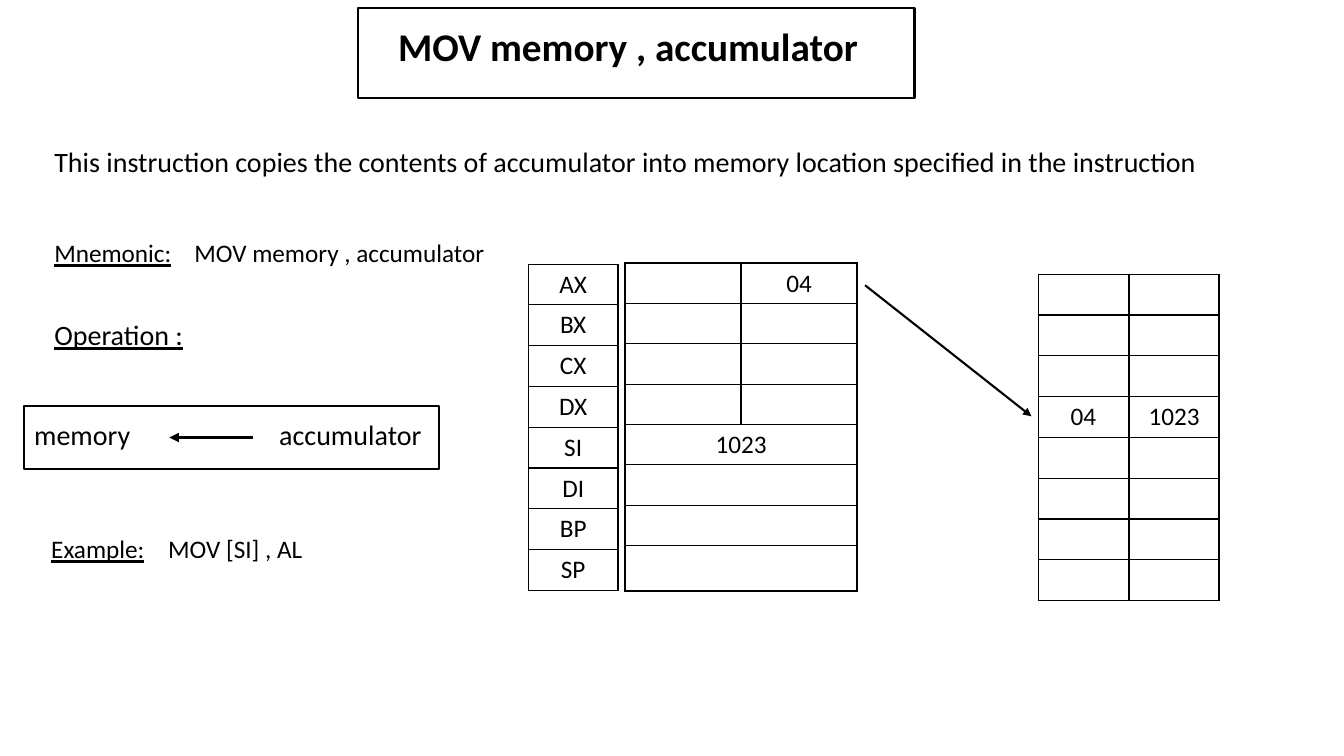
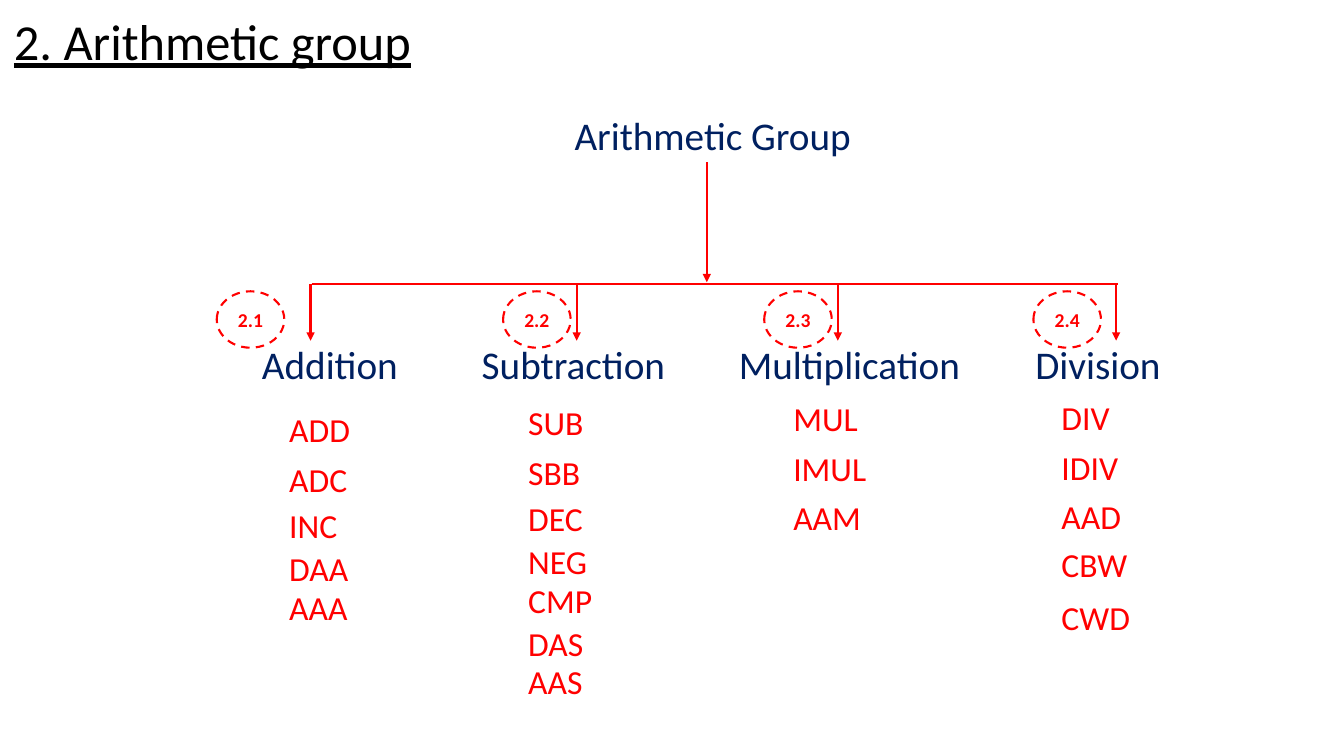
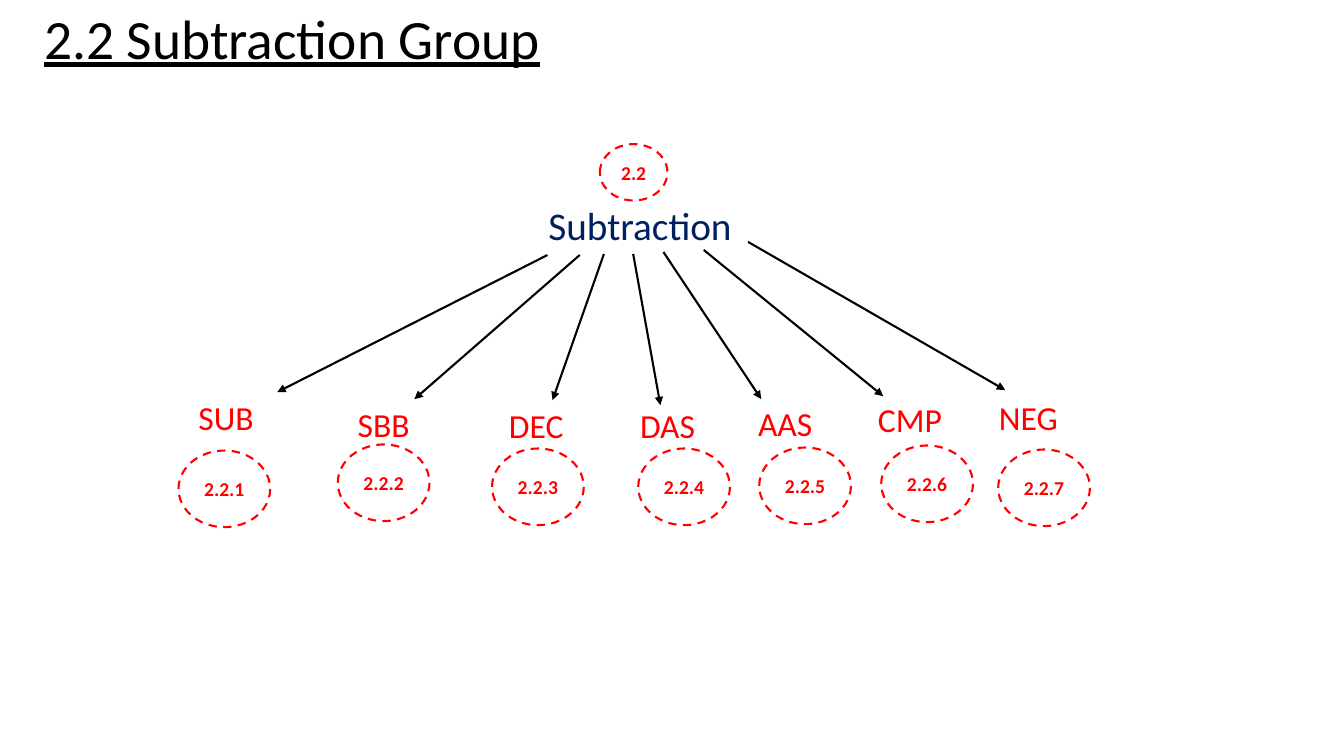
"""Build three slides on the MOV, arithmetic and subtraction instructions."""
from lxml.etree import SubElement
from pptx import Presentation
from pptx.dml.color import RGBColor
from pptx.enum.dml import MSO_LINE
from pptx.enum.shapes import MSO_CONNECTOR, MSO_SHAPE
from pptx.enum.text import MSO_ANCHOR, PP_ALIGN
from pptx.oxml import parse_xml
from pptx.oxml.ns import nsdecls, qn
from pptx.util import Inches, Pt

BLACK = RGBColor(0x00, 0x00, 0x00)
NAVY = RGBColor(0x00, 0x20, 0x60)
RED = RGBColor(0xFF, 0x00, 0x00)

STYLES = {
    "frame title": {"size": Pt(28), "color": BLACK, "bold": True},
    "title": {"size": Pt(36), "color": BLACK, "underline": True},
    "large title": {"size": Pt(39.6), "color": BLACK, "underline": True},
    "body": {"size": Pt(20), "color": BLACK},
    "heading": {"size": Pt(20), "color": BLACK, "underline": True},
    "label": {"size": Pt(18), "color": BLACK, "underline": True},
    "detail": {"size": Pt(18), "color": BLACK},
    "group": {"size": Pt(28), "color": NAVY},
    "instruction": {"size": Pt(24), "color": RED},
    "badge": {"size": Pt(14), "color": RED, "bold": True},
}

MOV_TITLE = "MOV memory , accumulator"
MOV_TEXTS = [
    ("This instruction copies the contents of accumulator into memory location "
     "specified in the instruction", "body", (0.44, 1.42, 12.53, 0.58)),
    ("Operation :", "heading", (0.44, 3.14, 1.85, 0.42)),
    ("memory", "body", (0.24, 4.13, 1.85, 0.42)),
    ("accumulator", "body", (2.67, 4.13, 1.85, 0.42)),
]
MOV_LABELS = [
    ("Mnemonic:", "MOV memory , accumulator", (0.44, 2.34, 4.93, 0.6), 1.39),
    ("Example:", "MOV [SI] , AL", (0.41, 5.28, 2.7, 0.43), 1.16),
]
MOV_FRAMES = [(0.24, 4.03, 4.11, 0.62), (3.55, 0.08, 5.52, 0.89)]
REGISTERS = ["AX", "BX", "CX", "DX", "SI", "DI", "BP", "SP"]
REGISTER_VALUES = [("", "04"), ("", ""), ("", ""), ("", ""),
                   ("1023", ""), ("", ""), ("", ""), ("", "")]
FIRST_WIDE_REGISTER = 4
MEMORY_ROW = 3
MEMORY_COLUMNS = [("04", 10.3), ("1023", 11.2)]

TIGHT = [0, 0.49, 0.95, 1.38, 1.76, 2.19, 2.57]
LOOSE = [0, 0.49, 0.98, 1.46, 1.98]
BRANCHES = [
    {"name": "Addition", "box": (2.5, 1.59), "arrow": 3.08, "badge": ("2.1", 2.15),
     "list": (2.77, 4.01), "steps": TIGHT, "items": ["ADD", "ADC", "INC", "DAA", "AAA"]},
    {"name": "Subtraction", "box": (4.68, 2.03), "arrow": 5.72, "badge": ("2.2", 4.99),
     "list": (5.14, 3.94), "steps": TIGHT,
     "items": ["SUB", "SBB", "DEC", "NEG", "CMP", "DAS", "AAS"]},
    {"name": "Multiplication", "box": (7.23, 2.42), "arrow": 8.31, "badge": ("2.3", 7.58),
     "list": (7.77, 3.9), "steps": LOOSE, "items": ["MUL", "IMUL", "AAM"]},
    {"name": "Division", "box": (10.17, 1.59), "arrow": 11.07, "badge": ("2.4", 10.25),
     "list": (10.43, 3.89), "steps": LOOSE, "items": ["DIV", "IDIV", "AAD", "CBW", "CWD"]},
]
BRANCH_Y = 2.82

SUBTRACTIONS = [
    ("SUB", (1.87, 3.89), (1.77, 4.47), (5.43, 2.53), (2.75, 3.89)),
    ("SBB", (3.45, 3.96), (3.35, 4.41), (5.75, 2.53), (4.11, 3.96)),
    ("DEC", (4.95, 3.97), (4.88, 4.45), (5.99, 2.52), (5.48, 3.97)),
    ("DAS", (6.25, 3.97), (6.33, 4.45), (6.28, 2.52), (6.55, 4.02)),
    ("AAS", (7.42, 3.95), (7.53, 4.44), (6.58, 2.5), (7.55, 3.96)),
    ("CMP", (8.61, 3.91), (8.74, 4.42), (6.98, 2.48), (8.76, 3.93)),
    ("NEG", (9.81, 3.89), (9.9, 4.46), (7.42, 2.4), (9.97, 3.87)),
]
INSTRUCTION_SIZE = (1.07, 0.5)
SMALL_BADGE = (0.67, 0.56)
LARGE_BADGE = (0.91, 0.76)


def inches(values):
    return [Inches(value) for value in values]


def add_run(paragraph, text, style):
    run = paragraph.add_run()
    run.text = text
    run.font.name = "Calibri"
    for key, value in STYLES[style].items():
        if key == "color":
            run.font.color.rgb = value
        else:
            setattr(run.font, key, value)


def add_text(slide, text, style, box, anchor=MSO_ANCHOR.TOP):
    frame = slide.shapes.add_textbox(*inches(box)).text_frame
    frame.word_wrap = True
    frame.vertical_anchor = anchor
    paragraph = frame.paragraphs[0]
    paragraph.line_spacing = 1.0 if style == "instruction" else 0.9
    add_run(paragraph, text, style)
    return paragraph


def add_title(slide, text, style, box):
    add_text(slide, text, style, box, MSO_ANCHOR.MIDDLE)


def add_label(slide, label, detail, box, tab):
    paragraph = add_text(slide, label, "label", box)
    tabs = SubElement(paragraph._p.get_or_add_pPr(), qn("a:tabLst"))
    SubElement(tabs, qn("a:tab"), pos=str(Inches(tab)), algn="l")
    add_run(paragraph, "\t" + detail, "detail")


def add_outline(slide, preset, box, color):
    outline = slide.shapes.add_shape(preset, *inches(box))
    outline.shadow.inherit = False
    outline.fill.background()
    outline.line.color.rgb = color
    outline.line.width = Pt(1.5)
    return outline


def add_badge(slide, number, place, size=SMALL_BADGE):
    badge = add_outline(slide, MSO_SHAPE.OVAL, (*place, *size), RED)
    badge.line.dash_style = MSO_LINE.DASH
    frame = badge.text_frame
    frame.word_wrap = False
    frame.vertical_anchor = MSO_ANCHOR.MIDDLE
    frame.paragraphs[0].alignment = PP_ALIGN.CENTER
    add_run(frame.paragraphs[0], number, "badge")


def add_line(slide, start, end, color, width=1.5, arrow=True):
    line = slide.shapes.add_connector(MSO_CONNECTOR.STRAIGHT, *inches((*start, *end)))
    line.line.color.rgb = color
    line.line.width = Pt(width)
    if arrow:
        SubElement(line.line._get_or_add_ln(), qn("a:tailEnd"), type="triangle")
    SubElement(line._element.spPr, qn("a:effectLst"))


def set_borders(cell, widths):
    properties = cell._tc.get_or_add_tcPr()
    for index, (side, width) in enumerate(zip("LRTB", widths)):
        properties.insert(index, parse_xml(
            f'<a:ln{side} {nsdecls("a")} w="{Pt(width)}"><a:solidFill>'
            f'<a:srgbClr val="{BLACK}"/></a:solidFill></a:ln{side}>'))


def add_grid(slide, rows, box, outer=1):
    last_row, last_column = len(rows) - 1, len(rows[0]) - 1
    table = slide.shapes.add_table(len(rows), len(rows[0]), *inches(box)).table
    table.first_row = table.horz_banding = False
    for r, row in enumerate(rows):
        for c, value in enumerate(row):
            cell = table.cell(r, c)
            cell.fill.background()
            edges = (c == 0, c == last_column, r == 0, r == last_row)
            set_borders(cell, [outer if edge else 1 for edge in edges])
            paragraph = cell.text_frame.paragraphs[0]
            paragraph.alignment = PP_ALIGN.CENTER
            if value:
                add_run(paragraph, value, "detail")
    return table


def build_mov(slide):
    add_title(slide, MOV_TITLE, "frame title", (3.85, 0.04, 5.41, 0.89))
    for text, style, box in MOV_TEXTS:
        add_text(slide, text, style, box)
    for label in MOV_LABELS:
        add_label(slide, *label)
    add_line(slide, (2.51, 4.34), (1.68, 4.34), BLACK, 2.25)
    for box in MOV_FRAMES:
        add_outline(slide, MSO_SHAPE.RECTANGLE, box, BLACK)
    values = add_grid(slide, REGISTER_VALUES, (6.2, 2.61, 2.3, 3.25), 1.5)
    for r, row in enumerate(values.rows):
        row.height = Inches(0.45 if r == len(REGISTERS) - 1 else 0.4)
        if r >= FIRST_WIDE_REGISTER:
            values.cell(r, 0).merge(values.cell(r, 1))
    add_grid(slide, [(name,) for name in REGISTERS], (5.24, 2.62, 0.89, 3.24))
    for value, left in MEMORY_COLUMNS:
        cells = [(value if r == MEMORY_ROW else "",) for r in range(len(REGISTERS))]
        add_grid(slide, cells, (left, 2.72, 0.89, 3.24))
    add_line(slide, (8.58, 2.83), (10.23, 4.13), BLACK)


def build_arithmetic(slide):
    add_title(slide, "2. Arithmetic group", "title", (0.04, 0.09, 7.35, 0.7))
    add_text(slide, "Arithmetic Group", "group", (5.6, 1.11, 3.53, 0.42))
    add_line(slide, (7.01, 1.61), (7.01, 2.8), RED)
    add_line(slide, (3.09, BRANCH_Y), (11.09, BRANCH_Y), RED, arrow=False)
    for branch in BRANCHES:
        left, width = branch["box"]
        add_text(slide, branch["name"], "group", (left, 3.38, width, 0.42))
        add_line(slide, (branch["arrow"], BRANCH_Y), (branch["arrow"], 3.38), RED)
        number, badge_left = branch["badge"]
        add_badge(slide, number, (badge_left, 2.89))
        list_left, list_top = branch["list"]
        for item, step in zip(branch["items"], branch["steps"]):
            add_text(slide, item, "instruction",
                     (list_left, list_top + step, *INSTRUCTION_SIZE))


def build_subtraction(slide):
    add_title(slide, "2.2 Subtraction Group", "large title", (0.34, 0, 11.5, 0.82))
    add_text(slide, "Subtraction", "group", (5.34, 2, 2.14, 0.42))
    add_badge(slide, "2.2", (5.95, 1.43))
    for index, (name, place, badge, start, end) in enumerate(SUBTRACTIONS, 1):
        add_line(slide, start, end, BLACK)
        add_text(slide, name, "instruction", (*place, *INSTRUCTION_SIZE))
        add_badge(slide, f"2.2.{index}", badge, LARGE_BADGE)


def main():
    deck = Presentation()
    deck.slide_width, deck.slide_height = Inches(13.33), Inches(7.5)
    for build in (build_mov, build_arithmetic, build_subtraction):
        build(deck.slides.add_slide(deck.slide_layouts[6]))
    deck.save("out.pptx")


if __name__ == "__main__":
    main()
